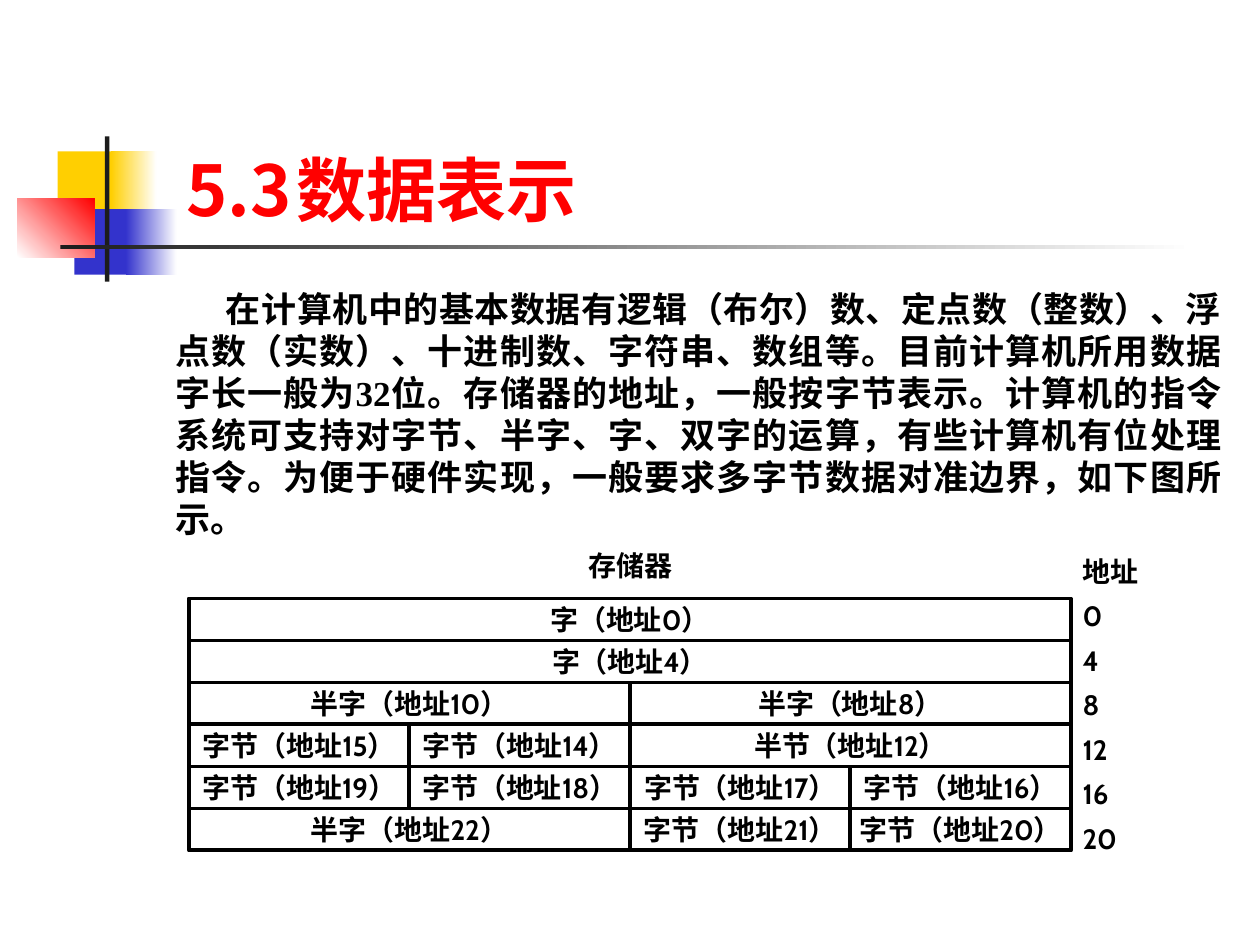
from dataclasses import dataclass

import pptx
import pptx.dml.color
import pptx.enum.shapes
import pptx.enum.text
import pptx.oxml
import pptx.oxml.ns
import pptx.util

Pt = pptx.util.Pt
Align = pptx.enum.text.PP_ALIGN
Anchor = pptx.enum.text.MSO_ANCHOR


@dataclass(frozen=True)
class Theme:
    black: str = "000000"
    white: str = "FFFFFF"
    red: str = "FF0000"
    yellow: str = "FFCF01"
    blue: str = "3333CC"
    charcoal: str = "1C1C1C"
    cjk_font: str = "Noto Sans CJK SC"
    body_font: str = "Times New Roman"
    label_font: str = "Cabin"
    title_size: float = 40
    body_size: float = 20
    label_size: float = 16
    cell_line: float = 2.25


@dataclass(frozen=True)
class Box:
    left: float
    top: float
    width: float
    height: float

    def emu(self) -> tuple:
        return Pt(self.left), Pt(self.top), Pt(self.width), Pt(self.height)


@dataclass(frozen=True)
class Block:
    """A decorative bar; fades to end_color when one is given."""
    box: Box
    color: str
    end_color: str = ""
    angle: float = 0


@dataclass(frozen=True)
class Cell:
    """A memory field, measured in bytes of a four-byte word."""
    unit: str
    address: int
    span: int


THEME = Theme()
BYTES_PER_WORD = 4
BYTE_WIDTH, ROW_HEIGHT = 126, 24
MEMORY_LEFT, MEMORY_TOP = 108, 342

ORNAMENT = [
    Block(Box(33, 86.5, 34.5, 37.5), THEME.yellow),
    Block(Box(63.5, 86.5, 26, 37.5), THEME.yellow, THEME.white),
    Block(Box(42.5, 119.5, 33, 37.5), THEME.blue),
    Block(Box(72, 119.5, 29, 37.5), THEME.blue, THEME.white),
    Block(Box(10, 113.5, 44, 33.5), THEME.white, THEME.red, 45),
    Block(Box(60, 78, 2.5, 83), THEME.charcoal),
    Block(Box(34.5, 140, 648, 2.5), THEME.charcoal, THEME.white),
]

MEMORY_ROWS = [
    [Cell("字", 0, 4)],
    [Cell("字", 4, 4)],
    [Cell("半字", 10, 2), Cell("半字", 8, 2)],
    [Cell("字节", 15, 1), Cell("字节", 14, 1), Cell("半节", 12, 2)],
    [Cell("字节", 19, 1), Cell("字节", 18, 1),
     Cell("字节", 17, 1), Cell("字节", 16, 1)],
    [Cell("半字", 22, 2), Cell("字节", 21, 1), Cell("字节", 20, 1)],
]

BODY = (
    "在计算机中的基本数据有逻辑（布尔）数、定点数（整数）、浮点数（实数）、"
    "十进制数、字符串、数组等。目前计算机所用数据字长一般为32位。"
    "存储器的地址，一般按字节表示。计算机的指令系统可支持对字节、半字、字、"
    "双字的运算，有些计算机有位处理指令。为便于硬件实现，"
    "一般要求多字节数据对准边界，如下图所示。"
)


def rgb(color: str):
    return pptx.dml.color.RGBColor.from_string(color)


def write_text(shape, text: str, *, font: str, size: float,
               color: str = THEME.black, align=Align.LEFT, anchor=Anchor.TOP,
               wrap: bool = True, indent: float = 0, tab: float = 0,
               line_height: float = 0, gap: float = 0) -> None:
    """Write one bold paragraph per line of text."""
    frame = shape.text_frame
    frame.word_wrap = wrap
    frame.vertical_anchor = anchor
    for index, line in enumerate(text.split("\n")):
        paragraph = frame.paragraphs[0] if index == 0 else frame.add_paragraph()
        paragraph.alignment = align
        if line_height:
            paragraph.line_spacing = Pt(line_height)
        if index:
            paragraph.space_before = Pt(gap)
        properties = paragraph._p.get_or_add_pPr()
        if indent:
            properties.set("marL", "0")
            properties.set("indent", str(Pt(indent)))
        if tab:
            stops = pptx.oxml.parse_xml(
                f'<a:tabLst {pptx.oxml.ns.nsdecls("a")}>'
                f'<a:tab pos="{Pt(tab)}" algn="l"/></a:tabLst>')
            properties.append(stops)
        run = paragraph.add_run()
        run.text = line
        run.font.name = font
        run.font.size = Pt(size)
        run.font.bold = True
        run.font.color.rgb = rgb(color)
        run._r.get_or_add_rPr().append(pptx.oxml.parse_xml(
            f'<a:ea {pptx.oxml.ns.nsdecls("a")} typeface="{THEME.cjk_font}"/>'))


def add_rectangle(slide, box: Box):
    rectangle = slide.shapes.add_shape(
        pptx.enum.shapes.MSO_SHAPE.RECTANGLE, *box.emu())
    rectangle.shadow.inherit = False
    return rectangle


def draw_block(slide, block: Block) -> None:
    bar = add_rectangle(slide, block.box)
    bar.line.fill.background()
    if block.end_color:
        bar.fill.gradient()
        bar.fill.gradient_angle = block.angle
        for stop, color, position in zip(
                bar.fill.gradient_stops, (block.color, block.end_color), (0, 1)):
            stop.color.rgb = rgb(color)
            stop.position = position
    else:
        bar.fill.solid()
        bar.fill.fore_color.rgb = rgb(block.color)


def draw_cell(slide, cell: Cell, box: Box) -> None:
    field = add_rectangle(slide, box)
    field.fill.background()
    field.line.color.rgb = rgb(THEME.black)
    field.line.width = Pt(THEME.cell_line)
    write_text(field, f"{cell.unit}（地址{cell.address}）",
               font=THEME.label_font, size=THEME.label_size,
               align=Align.CENTER, anchor=Anchor.MIDDLE, wrap=False)


def draw_memory(slide) -> None:
    for row, cells in enumerate(MEMORY_ROWS):
        left = MEMORY_LEFT
        for cell in cells:
            width = cell.span * BYTE_WIDTH
            draw_cell(slide, cell, Box(
                left, MEMORY_TOP + row * ROW_HEIGHT, width, ROW_HEIGHT))
            left += width


def add_label(slide, box: Box, text: str, **text_format) -> None:
    write_text(slide.shapes.add_textbox(*box.emu()), text, **text_format)


def main() -> None:
    deck = pptx.Presentation()
    deck.slide_width, deck.slide_height = Pt(720), Pt(540)
    slide = deck.slides.add_slide(deck.slide_layouts[6])

    # Ornament beside the title
    for block in ORNAMENT:
        draw_block(slide, block)

    # Title and explanation
    add_label(slide, Box(90.5, 20, 613.5, 115), "5.3\t数据表示",
              font=THEME.cjk_font, size=THEME.title_size, color=THEME.red,
              anchor=Anchor.BOTTOM, indent=9, tab=96)
    add_label(slide, Box(93, 160.5, 612, 153.5), BODY,
              font=THEME.body_font, size=THEME.body_size,
              align=Align.JUSTIFY, indent=29, line_height=24)

    # Memory map with its headings and word addresses
    draw_memory(slide)
    addresses = [str(row * BYTES_PER_WORD) for row in range(len(MEMORY_ROWS))]
    add_label(slide, Box(611.5, 314.5, 54, 175), "\n".join(["地址", *addresses]),
              font=THEME.label_font, size=THEME.label_size,
              line_height=18, gap=7.4)
    add_label(slide, Box(329.5, 310, 72, 27), "存储器",
              font=THEME.label_font, size=THEME.label_size)

    deck.save("out.pptx")


if __name__ == "__main__":
    main()
